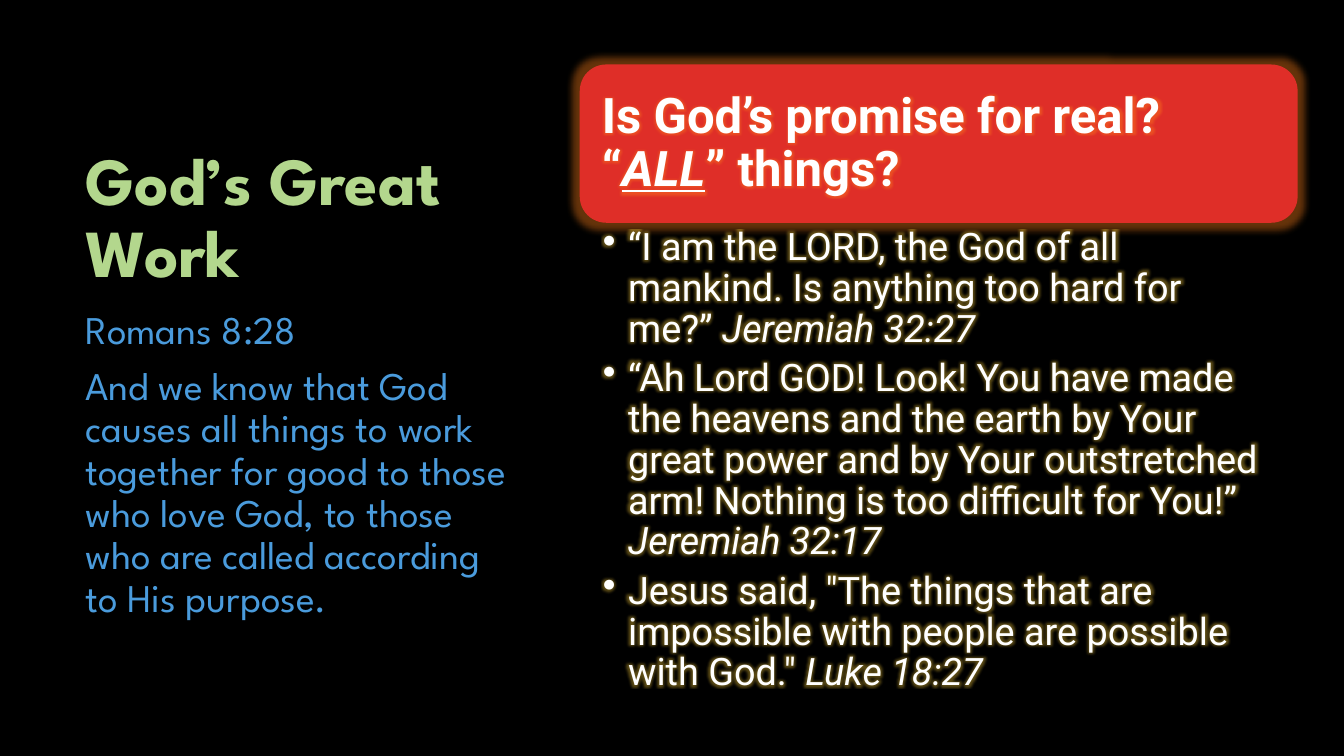
from dataclasses import dataclass

from lxml import etree
from pptx import Presentation
from pptx import util as u
from pptx.dml.color import RGBColor
from pptx.enum import shapes, text
from pptx.oxml import ns

PX = 9144


@dataclass(frozen=True)
class Theme:
    background: str = "000000"
    title: str = "B3D78D"
    passage: str = "4A9BDC"
    banner: str = "DF2E28"
    white: str = "FFFFFF"
    banner_glow: str = "FE801A"
    verse_glow: str = "E9BF35"
    display: str = "League Spartan"
    body: str = "Roboto"
    title_size: int = 48
    question_size: int = 35
    passage_size: int = 28
    verse_size: int = 27


THEME = Theme()

PASSAGE = [
    [("Romans 8:28", "")],
    [("And we know that God causes all things to work together for good to those "
      "who love God, to those who are called according to His purpose.", "")],
]
QUESTION = [[("Is God’s promise for real? \n“", ""), ("ALL", "iu"), ("” things?", "")]]
VERSES = [
    [("“I am the LORD, the God of all mankind. Is anything too hard for me?” ", ""),
     ("Jeremiah 32:27", "i")],
    [("“Ah Lord GOD! Look! You have made the heavens and the earth by Your great power "
      "and by Your outstretched arm! Nothing is too difficult for You!” ", ""),
     ("Jeremiah 32:17", "i")],
    [("Jesus said, \"The things that are impossible with people are possible with God.\" ", ""),
     ("Luke 18:27", "i")],
]


def px(*lengths):
    return [u.Emu(length * PX) for length in lengths]


def make_glow(color, radius, opacity):
    effects = etree.Element(ns.qn("a:effectLst"))
    glow = etree.SubElement(effects, ns.qn("a:glow"), rad=str(radius * PX))
    tint = etree.SubElement(glow, ns.qn("a:srgbClr"), val=color)
    etree.SubElement(tint, ns.qn("a:alpha"), val=str(opacity * 1000))
    return effects


def add_bullet(para, indent):
    properties = para._p.get_or_add_pPr()
    properties.set("marL", str(indent * PX))
    properties.set("indent", str(-indent * PX))
    etree.SubElement(properties, ns.qn("a:buChar"), char="•")


def add_span(para, words, style, size, color, font, bold, glow):
    span = para.add_run()
    span.text = words
    span.font.size = u.Pt(size)
    span.font.bold = bold
    span.font.italic = "i" in style
    span.font.underline = "u" in style
    span.font.color.rgb = RGBColor.from_string(color)
    if glow:
        fill = span._r.get_or_add_rPr().find(ns.qn("a:solidFill"))
        fill.addnext(make_glow(glow, 7, 40))
    span.font.name = font


def add_text(page, place, paragraphs, *, size, color, font, bold=False, anchor="TOP",
             insets=(10, 5, 10, 5), before=0, after=0, bullet=0, glow=None):
    box = page.shapes.add_textbox(*px(*place))
    frame = box.text_frame
    frame.word_wrap = True
    frame.vertical_anchor = getattr(text.MSO_ANCHOR, anchor)
    (frame.margin_left, frame.margin_top,
     frame.margin_right, frame.margin_bottom) = px(*insets)
    for index, spans in enumerate(paragraphs):
        para = frame.add_paragraph() if index else frame.paragraphs[0]
        para.line_spacing = 0.9
        para.space_before = u.Pt(before if index else 0)
        para.space_after = u.Pt(after)
        if bullet:
            add_bullet(para, bullet)
        for words, style in spans:
            for line, piece in enumerate(words.split("\n")):
                if line:
                    para.add_line_break()
                add_span(para, piece, style, size, color, font, bold, glow)


def add_banner(page, place):
    banner = page.shapes.add_shape(shapes.MSO_SHAPE.ROUNDED_RECTANGLE, *px(*place))
    banner.fill.solid()
    banner.fill.fore_color.rgb = RGBColor.from_string(THEME.banner)
    banner.line.fill.background()
    banner._element.spPr.append(make_glow(THEME.banner_glow, 14, 40))


def main():
    deck = Presentation()
    deck.slide_width, deck.slide_height = px(1333, 750)
    page = deck.slides.add_slide(deck.slide_layouts[6])
    page.background.fill.solid()
    page.background.fill.fore_color.rgb = RGBColor.from_string(THEME.background)

    add_text(page, (75, 120, 450, 175), [[("God’s Great Work", "")]],
             size=THEME.title_size, color=THEME.title, font=THEME.display,
             bold=True, anchor="BOTTOM")
    add_text(page, (75, 303, 450, 338), PASSAGE, size=THEME.passage_size,
             color=THEME.passage, font=THEME.display, before=10)
    add_banner(page, (575, 64, 712, 157))
    add_text(page, (582, 72, 697, 141), QUESTION, size=THEME.question_size,
             color=THEME.white, font=THEME.body, bold=True, anchor="MIDDLE",
             insets=(15, 15, 15, 15), glow=THEME.banner_glow)
    add_text(page, (575, 221, 712, 491), VERSES, size=THEME.verse_size,
             color=THEME.white, font=THEME.body, insets=(23, 5, 27, 5),
             after=6, bullet=25, glow=THEME.verse_glow)
    deck.save("out.pptx")


if __name__ == "__main__":
    main()
